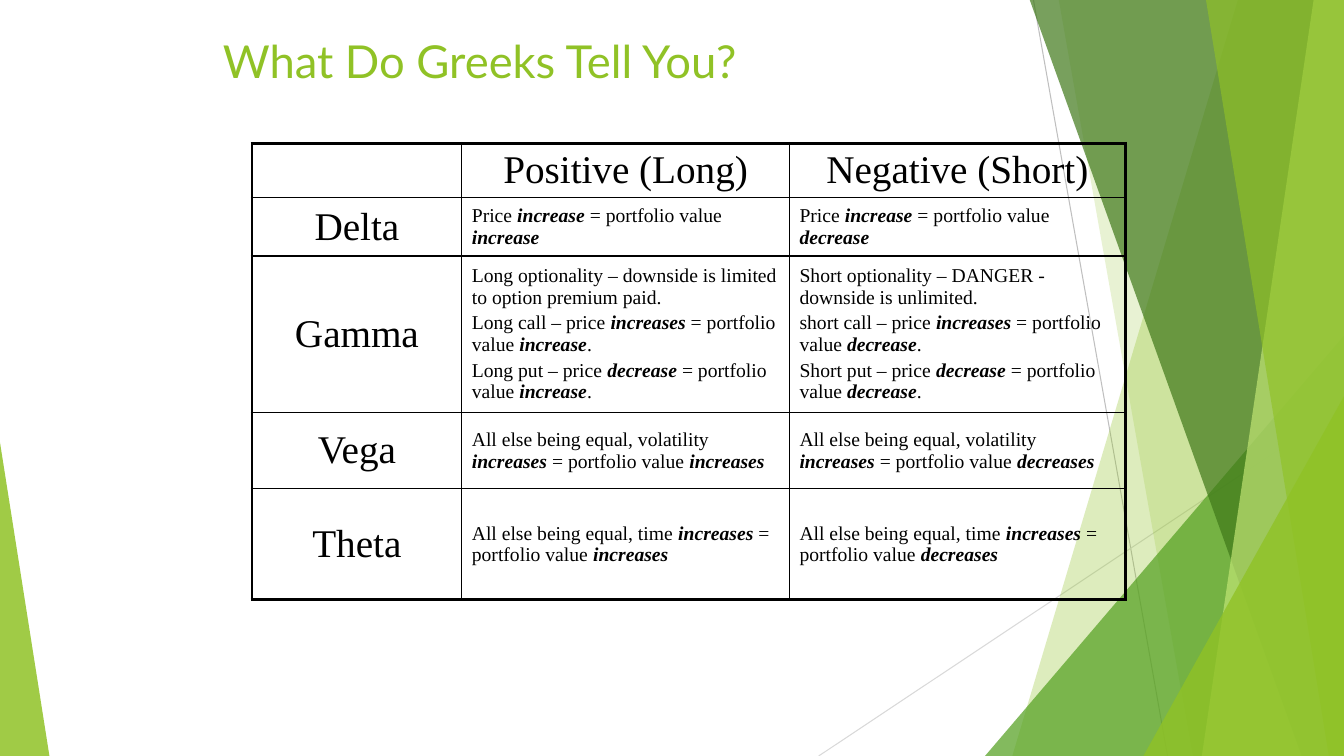
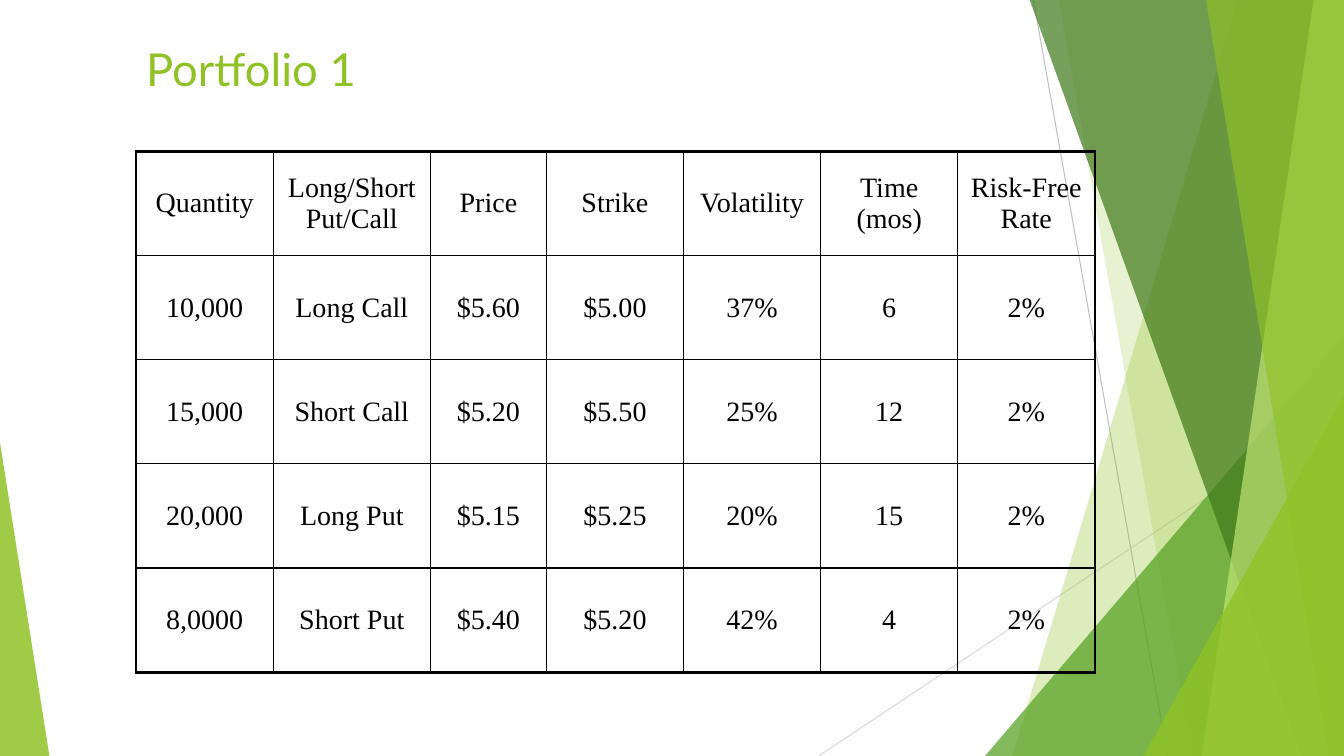
from collections import namedtuple
from dataclasses import dataclass

from lxml import etree
from pptx import Presentation
from pptx.dml.color import RGBColor
from pptx.enum.shapes import MSO_CONNECTOR, MSO_SHAPE
from pptx.enum.text import MSO_ANCHOR, PP_ALIGN
from pptx.oxml.ns import qn
from pptx.util import Inches, Pt

STRAIGHT = MSO_CONNECTOR.STRAIGHT
TRIANGLE = MSO_SHAPE.ISOSCELES_TRIANGLE
MIDDLE = MSO_ANCHOR.MIDDLE
LEFT, CENTER = PP_ALIGN.LEFT, PP_ALIGN.CENTER

Box = namedtuple("Box", "left top width height")


@dataclass(frozen=True)
class Theme:
    lime: str = "90C226"
    pale_lime: str = "C0E474"
    green: str = "54A021"
    forest: str = "3F7819"
    silver: str = "BFBFBF"
    mist: str = "D9D9D9"
    ink: str = "000000"
    title_font: str = "Lato"
    table_font: str = "Times New Roman"
    title_size: float = 32.4
    label_size: float = 28
    figure_size: float = 20
    detail_size: float = 14
    paragraph_gap: float = 0.2
    outer_border: float = 2.25
    inner_border: float = 1
    hairline: float = 0.75


THEME = Theme()
SLIDE = Box(0, 0, 13.33, 7.5)

GREEKS = [
    ["", "Positive (Long)", "Negative (Short)"],
    ["Delta",
     "Price *increase* = portfolio value *increase*",
     "Price *increase* = portfolio value *decrease*"],
    ["Gamma",
     "Long optionality – downside is limited to option premium paid.\n"
     "Long call – price *increases* = portfolio value *increase*.\n"
     "Long put – price *decrease* = portfolio value *increase*.",
     "Short optionality – DANGER - downside is unlimited.\n"
     "short call – price *increases* = portfolio value *decrease*.\n"
     "Short put – price *decrease* = portfolio value *decrease*."],
    ["Vega",
     "All else being equal, volatility *increases* = portfolio value *increases*",
     "All else being equal, volatility *increases* = portfolio value *decreases*"],
    ["Theta",
     "All else being equal, time *increases* = portfolio value *increases*",
     "All else being equal, time *increases* = portfolio value *decreases*"],
]

POSITIONS = [
    ["Quantity", "Long/Short Put/Call", "Price", "Strike", "Volatility",
     "Time (mos)", "Risk-Free Rate"],
    ["10,000", "Long Call", "$5.60", "$5.00", "37%", "6", "2%"],
    ["15,000", "Short Call", "$5.20", "$5.50", "25%", "12", "2%"],
    ["20,000", "Long Put", "$5.15", "$5.25", "20%", "15", "2%"],
    ["8,0000", "Short Put", "$5.40", "$5.20", "42%", "4", "2%"],
]


def rgb(colour):
    return RGBColor.from_string(colour)


def emu(box):
    return [Inches(length) for length in box]


def paint(shape, colour, opacity):
    """Fill without outline or shadow; opacity is in percent."""
    shape.shadow.inherit = False
    shape.line.fill.background()
    shape.fill.solid()
    shape.fill.fore_color.rgb = rgb(colour)
    colour_node = shape.element.xpath("./p:spPr/a:solidFill/a:srgbClr")[0]
    etree.SubElement(colour_node, qn("a:alpha")).set("val", str(opacity * 1000))


def add_hairline(shapes, start, end, colour):
    line = shapes.add_connector(STRAIGHT, *emu(start + end))
    line.line.color.rgb = rgb(colour)
    line.line.width = Pt(THEME.hairline)
    etree.SubElement(line.element.xpath("./p:spPr")[0], qn("a:effectLst"))


def add_backdrop(page, box):
    """Draw the facets once and move them to the layout of the page."""
    group = page.shapes.add_group_shape()
    shapes = group.shapes
    right, bottom = box.left + box.width, box.top + box.height

    def add_band(top_x, bottom_x, colour, opacity):
        top = box.top - 0.01
        corners = [(top_x, top), (right, top), (right, bottom), (bottom_x, bottom)]
        points = [emu((box.left + x if x != right else x, y)) for x, y in corners]
        builder = shapes.build_freeform(*points[0], scale=1.0)
        builder.add_line_segments(points[1:], close=True)
        paint(builder.convert_to_shape(), colour, opacity)

    def add_wedge(left, width, height, tip, colour, opacity):
        wedge = shapes.add_shape(
            TRIANGLE, *emu((left, bottom - height, width, height)))
        wedge.adjustments[0] = tip
        paint(wedge, colour, opacity)

    add_hairline(shapes, (box.left + 10.25, box.top),
                 (box.left + 11.58, bottom), THEME.silver)
    add_hairline(shapes, (right, box.top + 4.03),
                 (box.left + 8.12, bottom), THEME.mist)
    add_band(12.28, 10.04, THEME.lime, 30)
    add_band(10.5, 11.83, THEME.lime, 20)
    add_wedge(right - 3.56, 3.56, 4.17, 1, THEME.green, 72)
    add_band(10.21, 12.91, THEME.forest, 70)
    add_band(13.03, 11.92, THEME.pale_lime, 70)
    add_band(11.96, 13.18, THEME.lime, 65)
    add_wedge(right - 1.99, 1.99, 3.57, 1, THEME.lime, 80)
    add_wedge(box.left, 0.49, 3.11, 0, THEME.lime, 85)

    for number, node in enumerate(group.element.xpath(".//p:cNvPr"), start=100):
        node.set("id", str(number))
    page.slide_layout.shapes.element.insert(2, group.element)


def add_title(page, text, box):
    title = page.shapes.title
    title.left, title.top, title.width, title.height = emu(box)
    frame = title.text_frame
    frame.text = text
    frame.word_wrap = True
    frame.vertical_anchor = MIDDLE
    para = frame.paragraphs[0]
    para.alignment = LEFT
    font = para.runs[0].font
    font.name, font.size = THEME.title_font, Pt(THEME.title_size)
    font.color.rgb = rgb(THEME.lime)


def write_cell(cell, text, size, alignment):
    """Write one paragraph a line; words between asterisks are bold italic."""
    cell.vertical_anchor = MIDDLE
    frame = cell.text_frame
    for index, line in enumerate(text.split("\n")):
        para = frame.add_paragraph() if index else frame.paragraphs[0]
        para.alignment = alignment
        if index:
            para.space_before = Pt(size * THEME.paragraph_gap)
        for part, words in enumerate(line.split("*")):
            if not words:
                continue
            span = para.add_run()
            span.text = words
            font = span.font
            font.name, font.size = THEME.table_font, Pt(size)
            font.color.rgb = rgb(THEME.ink)
            font.bold = font.italic = part % 2 == 1


def add_border(cell_properties, side, width):
    line = etree.SubElement(cell_properties, qn(f"a:ln{side}"))
    line.set("w", str(Pt(width)))
    fill = etree.SubElement(line, qn("a:solidFill"))
    etree.SubElement(fill, qn("a:srgbClr")).set("val", THEME.ink)


def add_grid(page, rows, box, widths, heights, cell_style):
    """Add a table; cell_style gives size and alignment for a row and column."""
    row_count, column_count = len(rows), len(widths)
    frame = page.shapes.add_table(row_count, column_count, *emu(box))
    table = frame.table
    table.first_row = table.horz_banding = False
    for column, width in zip(table.columns, widths):
        column.width = Inches(width)
    for row, height in zip(table.rows, heights):
        row.height = Inches(height)
    cell_nodes = frame.element.xpath(".//a:tc")
    for index, (cell, node) in enumerate(zip(table.iter_cells(), cell_nodes)):
        row, column = divmod(index, column_count)
        on_edge = {"L": column == 0, "R": column == column_count - 1,
                   "T": row == 0, "B": row == row_count - 1}
        for side, outer in on_edge.items():
            add_border(node.get_or_add_tcPr(), side,
                       THEME.outer_border if outer else THEME.inner_border)
        cell.fill.background()
        write_cell(cell, rows[row][column], *cell_style(row, column))


def greeks_style(row, column):
    if row == 0 or column == 0:
        return THEME.label_size, CENTER
    return THEME.detail_size, LEFT


def portfolio_style(row, column):
    return THEME.figure_size, CENTER


def build_greeks(page):
    add_title(page, "What Do Greeks Tell You?", Box(2.11, 0.25, 9.89, 0.7))
    add_grid(page, GREEKS, Box(2.5, 1.42, 8.67, 4.6), [2.08, 3.25, 3.33],
             [0.54, 0.58, 1.55, 0.76, 1.1], greeks_style)


def build_portfolio(page):
    add_title(page, "Portfolio 1", Box(1.35, 0.33, 9.89, 0.7))
    box = Box(1.35, 1.5, 9.5, 5.17)
    row_count = len(POSITIONS)
    add_grid(page, POSITIONS, box, [1.36, 1.56, 1.15] + [1.36] * 4,
             [box.height / row_count] * row_count, portfolio_style)


def main():
    deck = Presentation()
    deck.slide_width, deck.slide_height = Inches(SLIDE.width), Inches(SLIDE.height)
    layout = deck.slide_layouts.get_by_name("Title Only")
    greeks_page = deck.slides.add_slide(layout)
    add_backdrop(greeks_page, SLIDE)
    build_greeks(greeks_page)
    build_portfolio(deck.slides.add_slide(layout))
    deck.save("out.pptx")


if __name__ == "__main__":
    main()
